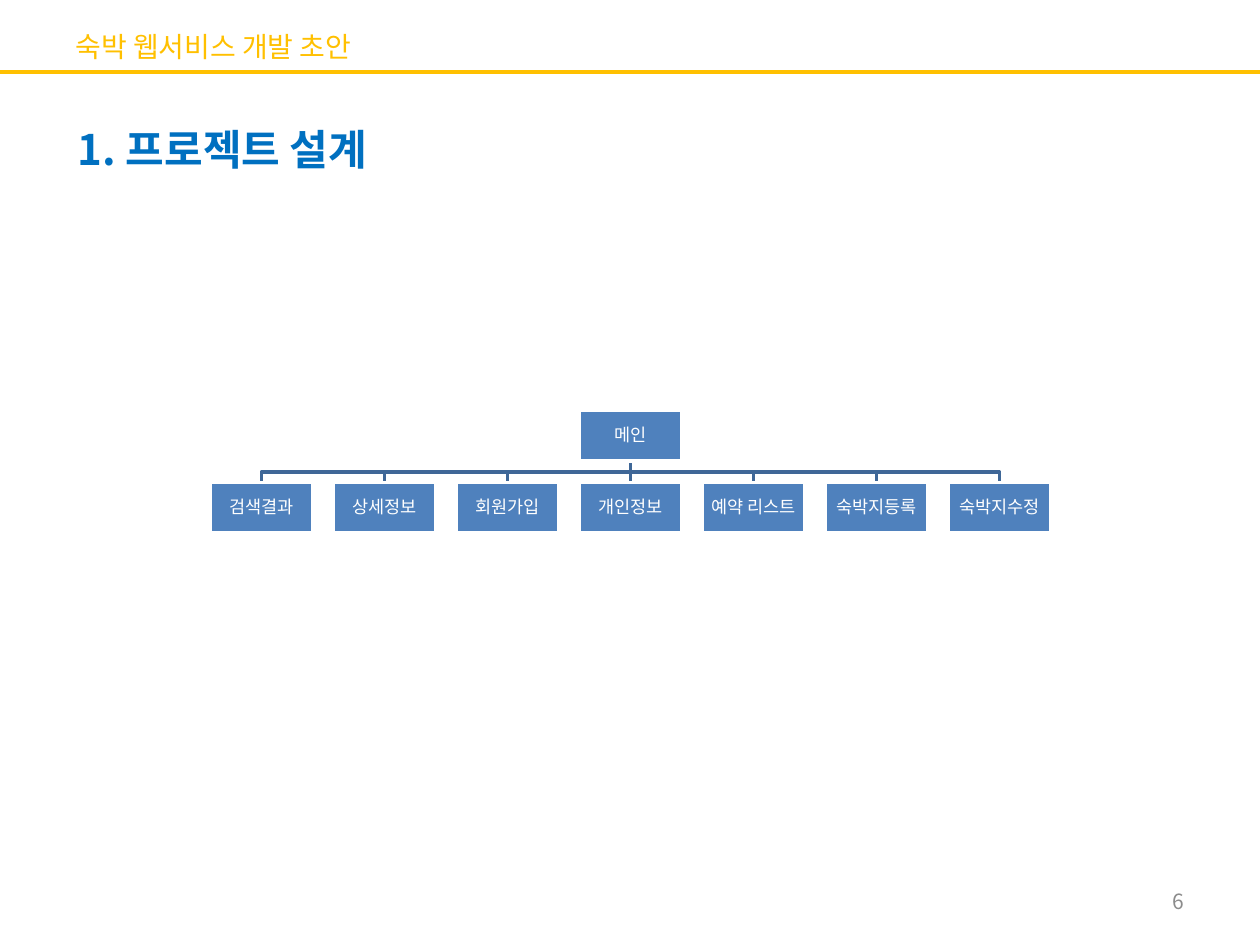
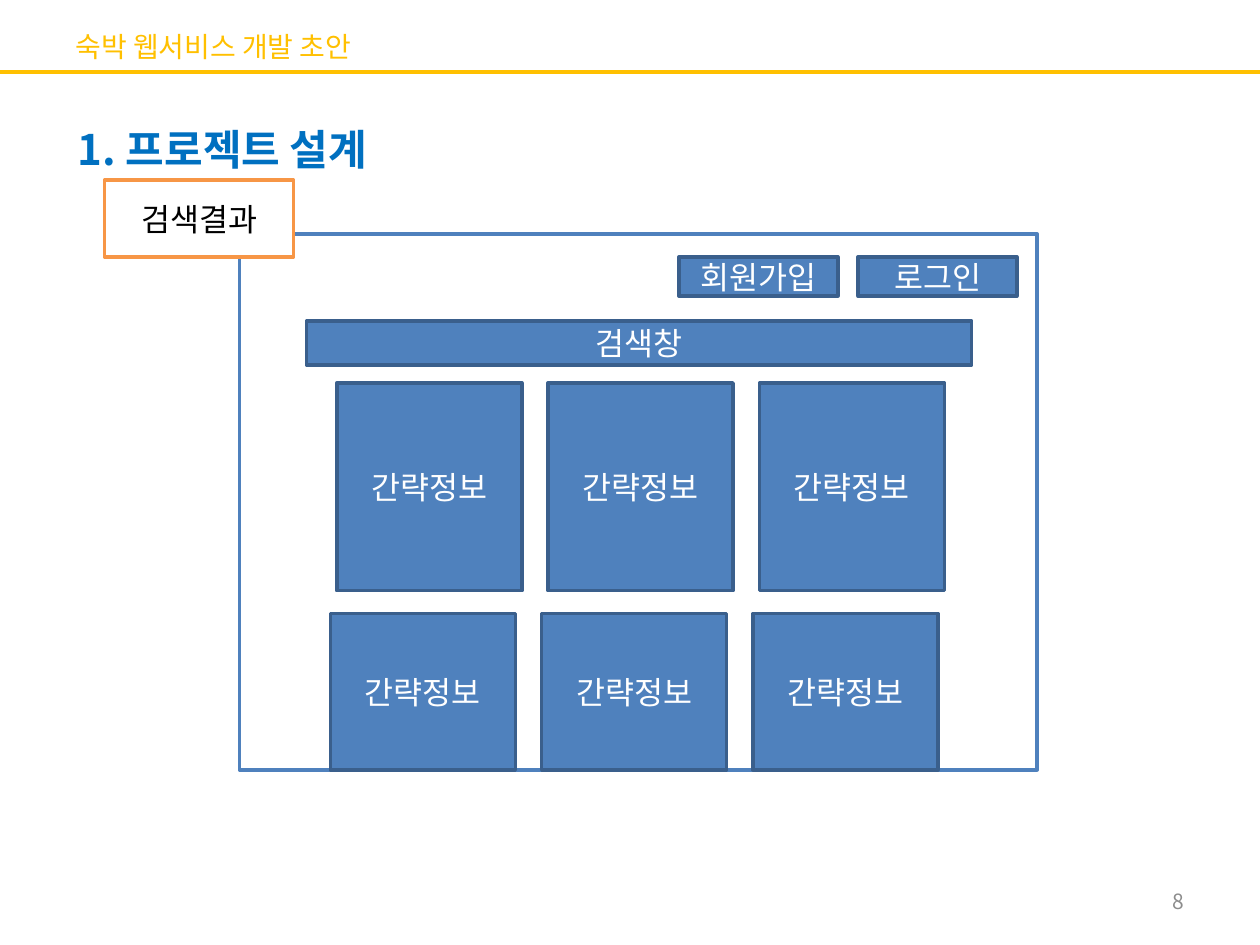
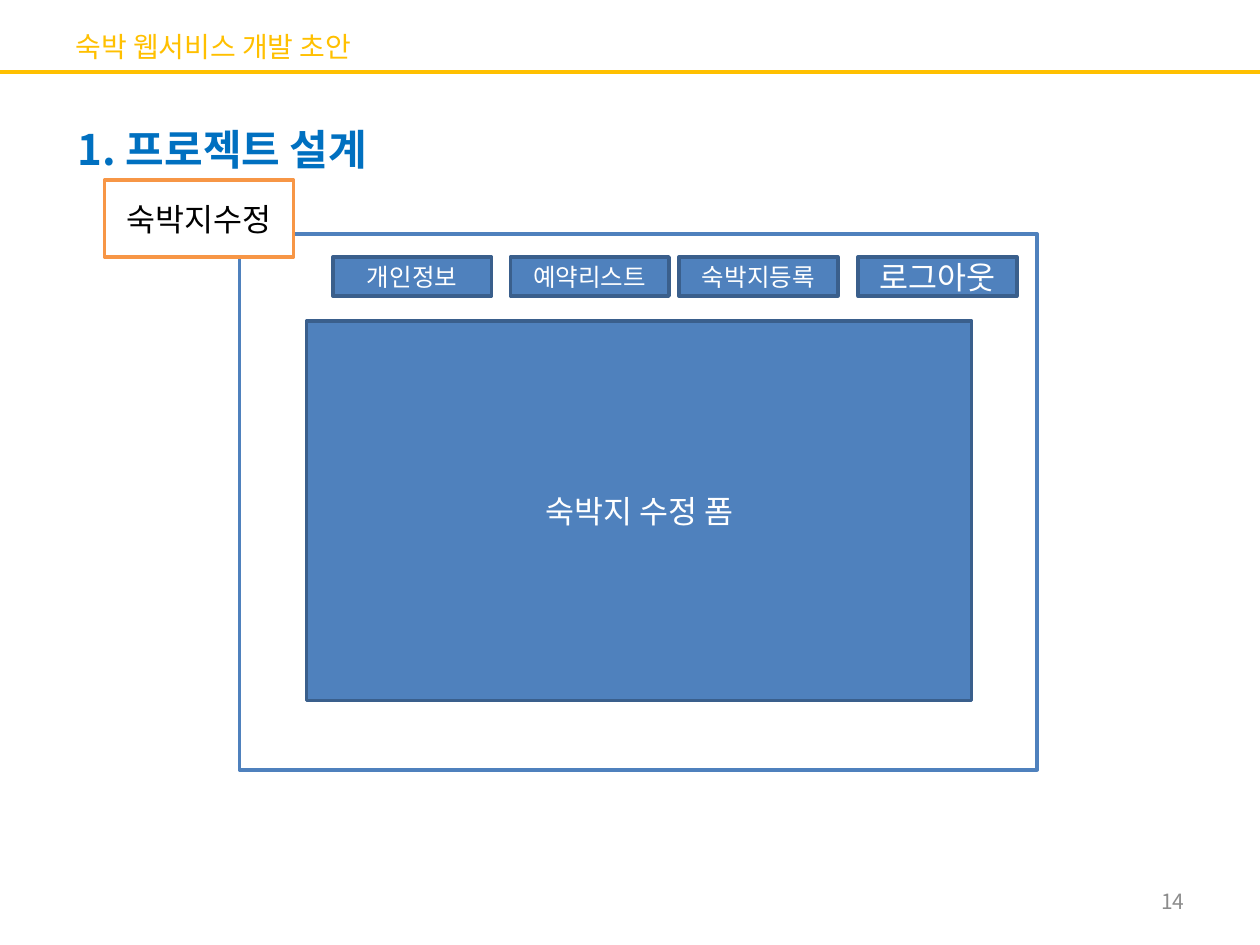
from lxml import etree
from pptx import Presentation, util as u
from pptx.dml.color import RGBColor
from pptx.enum import shapes, text
from pptx.oxml import ns

GOLD = RGBColor(0xFF, 0xC0, 0x00)
AZURE = RGBColor(0x00, 0x70, 0xC0)
GREY = RGBColor(0x8C, 0x8C, 0x8C)
BLUE = RGBColor(0x4F, 0x81, 0xBD)
NAVY = RGBColor(0x3A, 0x5F, 0x8C)
STEEL = RGBColor(0x3F, 0x67, 0x97)
AMBER = RGBColor(0xF7, 0x96, 0x46)
WHITE = RGBColor(0xFF, 0xFF, 0xFF)
BLACK = RGBColor(0x00, 0x00, 0x00)

FACE = "Noto Sans CJK KR"
WIDE, HIGH = 25.4, 19.05
LEFT, MID, RIGHT = text.PP_ALIGN.LEFT, text.PP_ALIGN.CENTER, text.PP_ALIGN.RIGHT
TIGHT = dict.fromkeys(
    ("margin_left", "margin_top", "margin_right", "margin_bottom"), u.Cm(0.03))
SNUG = {"line_spacing": 0.9, "space_after": u.Pt(3.5)}
GROW = {"word_wrap": False, "auto_size": text.MSO_AUTO_SIZE.SHAPE_TO_FIT_TEXT,
        "vertical_anchor": text.MSO_ANCHOR.TOP}

FRAME = (4.83, 4.72, 16.08, 10.8)
CHART = (4.24, 8.28, 16.94, 2.47)
SLOTS = (1.88, 5.46, 8.86, 12.47)
PAGES = ("검색결과", "상세정보", "회원가입", "개인정보", "예약 리스트",
         "숙박지등록", "숙박지수정")


def put(item, vals):
    """Set each attribute of an item from a dict."""
    for key, val in vals.items():
        setattr(item, key, val)


def cms(*nums):
    """Turn plain numbers into centimetre lengths."""
    return [u.Cm(num) for num in nums]


def write(shape, words, size, tint, align=MID, bold=False, frame=None, para=None):
    """Write one formatted line of text into a shape."""
    body = shape.text_frame
    put(body, {"word_wrap": True, "vertical_anchor": text.MSO_ANCHOR.MIDDLE,
               **(frame or {})})
    line = body.paragraphs[0]
    put(line, {"alignment": align, **(para or {})})
    run = line.add_run()
    run.text = words
    put(run.font, {"name": FACE, "size": u.Pt(size), "bold": bold})
    run.font.color.rgb = tint
    etree.SubElement(run.font._element, ns.qn("a:ea"), typeface=FACE)


def edge(item, tint, width=2):
    """Give a shape or connector its line."""
    item.line.color.rgb = tint
    item.line.width = u.Pt(width)


def block(slide, box, words="", size=18, fill=BLUE, rim=NAVY, ink=WHITE, **style):
    """Draw a filled rectangle with centred text."""
    shape = slide.shapes.add_shape(shapes.MSO_SHAPE.RECTANGLE, *cms(*box))
    shape.shadow.inherit = False
    shape.fill.solid()
    shape.fill.fore_color.rgb = fill
    edge(shape, rim)
    if words:
        write(shape, words, size, ink, **style)


def rule(slide, ends, tint, width):
    """Draw a straight line without a shadow."""
    line = slide.shapes.add_connector(shapes.MSO_CONNECTOR.STRAIGHT, *cms(*ends))
    edge(line, tint, width)
    etree.SubElement(line._element.spPr, ns.qn("a:effectLst"))


def base(deck, page):
    """Add a slide with its band, title, section heading and page number."""
    slide = deck.slides.add_slide(deck.slide_layouts[5])
    rule(slide, (0, 1.46, WIDE, 1.46), GOLD, 2.25)
    title = slide.shapes.title
    put(title, dict(zip(("left", "top", "width", "height"),
                        cms(1.27, 0.33, 22.86, 1.19))))
    write(title, "숙박 웹서비스 개발 초안", 16, GOLD, LEFT)
    head = slide.shapes.add_textbox(*cms(1.32, 2.36, 6.96, 1.27))
    write(head, "1. 프로젝트 설계", 24, AZURE, LEFT, True, GROW)
    foot = slide.shapes.add_textbox(*cms(18.21, 17.65, 5.92, 1.02))
    write(foot, str(page), 12, GREY, RIGHT)
    return slide


def branch(slide, start, end):
    """Join two points with a stepped line."""
    (x, top), (to, low) = start, end
    if abs(x - to) < 0.01:
        rule(slide, (x, top, to, low), STEEL, 2)
        return
    half = (top + low) / 2
    pen = slide.shapes.build_freeform(*cms(x, top))
    pen.add_line_segments([cms(x, half), cms(to, half), cms(to, low)], close=False)
    shape = pen.convert_to_shape()
    shape.shadow.inherit = False
    shape.fill.background()
    edge(shape, STEEL)


def tree(slide, box, root, kids):
    """Draw a root above an evenly spaced row of child nodes."""
    left, top, width, height = box
    wide, high = 2.06, 1.02
    step = (width - wide) / (len(kids) - 1)
    low = top + height - high
    mid = left + width / 2
    spots = [left + step * num for num in range(len(kids))]
    for x in reversed(spots):
        branch(slide, (mid, top + high), (x + wide / 2, low))
    nodes = [(mid - wide / 2, top, root)]
    nodes += [(x, low, name) for x, name in zip(spots, kids)]
    for x, y, name in nodes:
        block(slide, (x, y, wide, high), name, 10, rim=WHITE, frame=TIGHT, para=SNUG)


def screen(slide, box, name, tabs, main, tall):
    """Draw a page wireframe with its tag, right-hand tabs and main panel."""
    left, top = box[:2]
    block(slide, box, fill=WHITE, rim=BLUE)
    block(slide, (left + 1.35, top + 1.75, 13.41, tall), main)
    for x, (label, size) in zip(SLOTS[-len(tabs):], tabs):
        block(slide, (left + x, top + 0.46, 3.2, 0.79), label, size)
    block(slide, (left - 2.72, top - 1.09, 3.81, 1.55), name,
          fill=WHITE, rim=AMBER, ink=BLACK)


def cards(slide, box, label):
    """Draw two rows of three cards inside a wireframe."""
    left, top = box[:2]
    for x, y, high in ((1.96, 3.0, 4.19), (1.83, 7.65, 3.15)):
        for col in range(3):
            block(slide, (left + x + col * 4.26, top + y, 3.73, high), label)


def main():
    """Build and save the deck."""
    deck = Presentation()
    put(deck, {"slide_width": u.Cm(WIDE), "slide_height": u.Cm(HIGH)})
    tree(base(deck, 6), CHART, "메인", PAGES)
    found = base(deck, 8)
    screen(found, FRAME, "검색결과", [("회원가입", 18), ("로그인", 18)], "검색창", 0.89)
    cards(found, FRAME, "간략정보")
    tabs = [("개인정보", 14), ("예약리스트", 14), ("숙박지등록", 14), ("로그아웃", 18)]
    screen(base(deck, 14), FRAME, "숙박지수정", tabs, "숙박지 수정 폼", 7.65)
    deck.save("out.pptx")


if __name__ == "__main__":
    main()
